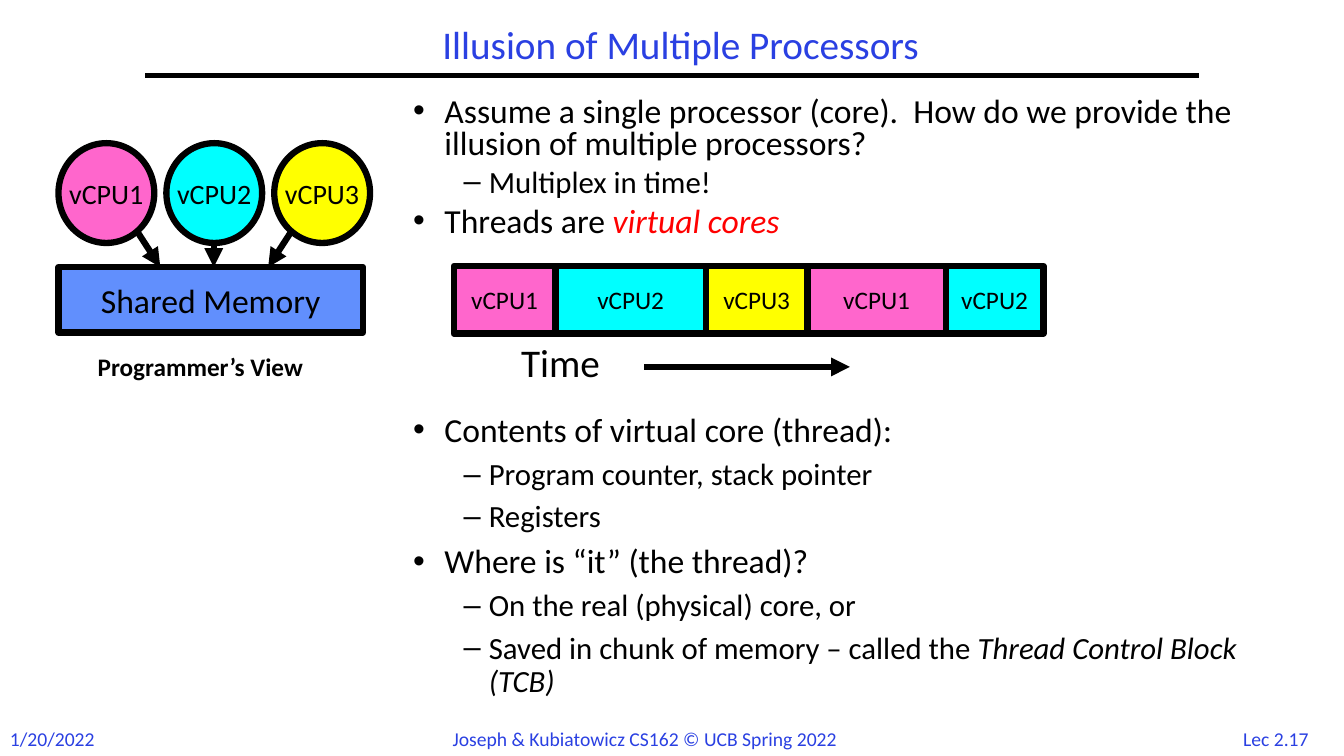
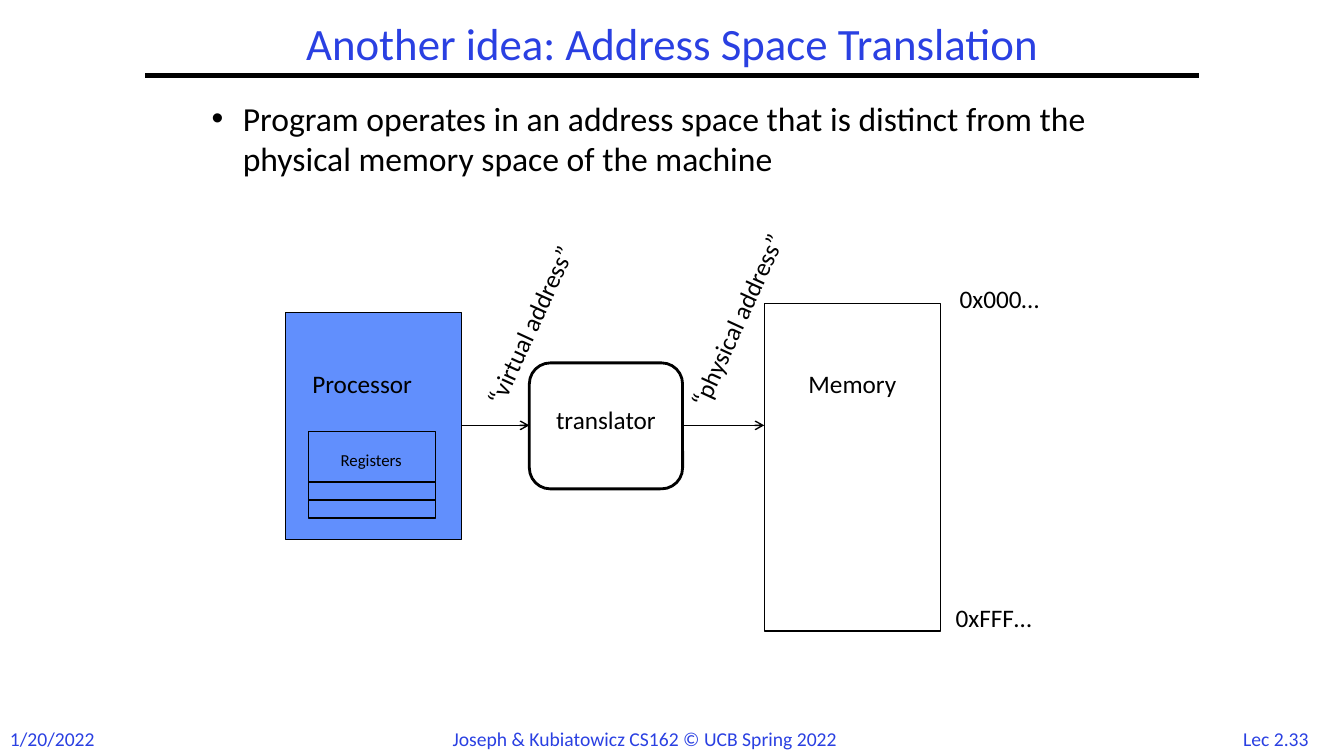
from lxml.etree import SubElement
from pptx import Presentation
from pptx.dml.color import RGBColor
from pptx.enum.shapes import MSO_CONNECTOR, MSO_SHAPE
from pptx.enum.text import MSO_ANCHOR, PP_ALIGN
from pptx.oxml.ns import qn
from pptx.util import Inches, Pt

FONT = "Calibri"
BLACK, WHITE, RED = "000000", "FFFFFF", "FF0000"
TITLE_BLUE, BOX_BLUE = "2A40E2", "618FFD"
VCPU_COLORS = {"vCPU1": "FF66CC", "vCPU2": "00FFFF", "vCPU3": "FFFF00"}
HEAVY, THIN = 4.5, 1
LEFT, CENTER = PP_ALIGN.LEFT, PP_ALIGN.CENTER
LEVELS = [("•", 0.31, 0.31, 24), ("–", 0.75, 0.25, 22)]


def color(value):
    return RGBColor.from_string(value)


def add_run(p, text, size, fill=BLACK, bold=False, italic=False):
    r = p.add_run()
    r.text = text
    font = r.font
    font.name, font.size, font.bold, font.italic = FONT, Pt(size), bold, italic
    font.color.rgb = color(fill)


def add_textbox(s, x, y, w, h):
    sp = s.shapes.add_textbox(Inches(x), Inches(y), Inches(w), Inches(h))
    sp.text_frame.word_wrap = True
    return sp


def add_label(s, x, y, w, h, text, size=18, fill=BLACK, align=LEFT, bold=False):
    sp = add_textbox(s, x, y, w, h)
    p = sp.text_frame.paragraphs[0]
    p.alignment = align
    add_run(p, text, size, fill, bold)
    return sp


def add_box(s, kind, x, y, w, h, fill=None, width=THIN, text=None, size=18):
    sp = s.shapes.add_shape(kind, Inches(x), Inches(y), Inches(w), Inches(h))
    sp.shadow.inherit = False
    if fill:
        sp.fill.solid()
        sp.fill.fore_color.rgb = color(fill)
    else:
        sp.fill.background()
    sp.line.color.rgb = color(BLACK)
    sp.line.width = Pt(width)
    if text:
        tf = sp.text_frame
        tf.word_wrap = False
        tf.vertical_anchor = MSO_ANCHOR.MIDDLE
        tf.margin_left = tf.margin_right = tf.margin_top = tf.margin_bottom = 0
        p = tf.paragraphs[0]
        p.alignment = CENTER
        add_run(p, text, size)
    return sp


def add_line(s, x1, y1, x2, y2, width, head=None):
    c = s.shapes.add_connector(MSO_CONNECTOR.STRAIGHT, Inches(x1), Inches(y1),
                               Inches(x2), Inches(y2))
    c.line.color.rgb = color(BLACK)
    c.line.width = Pt(width)
    sp_pr = c._element.spPr
    if head:
        SubElement(sp_pr.find(qn("a:ln")), qn("a:tailEnd"), type=head)
    SubElement(sp_pr, qn("a:effectLst"))


def add_bullets(s, x, y, w, h, items, line_spacing, gap):
    tf = add_textbox(s, x, y, w, h).text_frame
    for i, (level, runs) in enumerate(items):
        mark, margin, hanging, size = LEVELS[level]
        p = tf.add_paragraph() if i else tf.paragraphs[0]
        p.level = level
        p.line_spacing = line_spacing
        p.space_before = Pt(round(gap * size, 1))
        p_pr = p._p.get_or_add_pPr()
        p_pr.set("marL", str(Inches(margin)))
        p_pr.set("indent", str(-Inches(hanging)))
        SubElement(p_pr, qn("a:buFont"), typeface="Arial")
        SubElement(p_pr, qn("a:buChar"), char=mark)
        for text, style in runs:
            add_run(p, text, size, **style)


def add_frame(prs, title, title_size, title_center, number):
    s = prs.slides.add_slide(prs.slide_layouts[6])
    add_line(s, 1.44, 0.75, 11.89, 0.75, 3)
    w = 9.67
    sp = add_label(s, title_center - w / 2, 0.17, w, 0.58, title, title_size, TITLE_BLUE, CENTER)
    sp.text_frame.vertical_anchor = MSO_ANCHOR.MIDDLE
    sp.text_frame.paragraphs[0].line_spacing = 0.9
    for x, width, text, align in [
        (0, 1.2, "1/20/2022", LEFT),
        (4.39, 4.55, "Joseph & Kubiatowicz CS162 © UCB Spring 2022", LEFT),
        (12.17, 0.97, number, CENTER),
    ]:
        add_label(s, x, 7.16, width, 0.34, text, 14, TITLE_BLUE, align)
    return s


def add_programmers_view(s, x, y):
    diameter, height, pitch, memory_y = 0.95, 0.99, 1.07, 1.23
    for i, (name, fill) in enumerate(VCPU_COLORS.items()):
        add_box(s, MSO_SHAPE.OVAL, x + i * pitch, y, diameter, height, fill, HEAVY, name, 20)
    add_box(s, MSO_SHAPE.RECTANGLE, x, y + memory_y, 3.02, 0.65, BOX_BLUE, HEAVY,
            "Shared Memory", 24)
    for x1, y1, x2 in [(0.77, 0.86, 1.01), (1.54, height, 1.54), (2.32, 0.86, 2.08)]:
        add_line(s, x + x1, y + y1, x + x2, y + memory_y, HEAVY, "triangle")
    add_label(s, x + 0.29, y + 2.02, 2.55, 0.4, "Programmer’s View", bold=True)


def add_timeline(s, x, y):
    left, height = x, 0.67
    for name, w in [("vCPU1", 1.01), ("vCPU2", 1.49), ("vCPU3", 1.01),
                    ("vCPU1", 1.37), ("vCPU2", 0.97)]:
        add_box(s, MSO_SHAPE.RECTANGLE, left, y, w, height, VCPU_COLORS[name], HEAVY, name)
        left += w
    add_label(s, x + 0.57, y + height, 1.33, 0.57, "Time", 28)
    add_line(s, x + 1.89, y + 1, x + 3.93, y + 1, HEAVY, "triangle")


def add_processor(s, x, y):
    add_box(s, MSO_SHAPE.RECTANGLE, x, y, 1.75, 2.25, BOX_BLUE)
    add_label(s, x + 0.17, y + 0.5, 1.34, 0.4, "Processor")
    add_box(s, MSO_SHAPE.RECTANGLE, x + 0.23, y + 1.18, 1.26, 0.86)
    add_box(s, MSO_SHAPE.RECTANGLE, x + 0.23, y + 1.68, 1.26, 0.18)
    add_label(s, x + 0.45, y + 1.31, 0.91, 0.3, "Registers", 12)


def add_memory(s, x, y):
    add_box(s, MSO_SHAPE.RECTANGLE, x, y, 1.75, 3.25)
    add_label(s, x + 0.34, y + 0.59, 1.11, 0.4, "Memory")
    add_label(s, x + 1.84, y - 0.25, 1.14, 0.4, "0x000…")
    add_label(s, x + 1.8, y + 2.92, 1.18, 0.4, "0xFFF…")


def add_translation(s, x, y):
    add_memory(s, x + 4.75, y)
    add_processor(s, x, y + 0.09)
    sp = add_box(s, MSO_SHAPE.FLOWCHART_ALTERNATE_PROCESS, x + 2.42, y + 0.59, 1.52, 1.25,
                 WHITE, 2, "translator")
    sp.text_frame.margin_bottom = Inches(0.12)
    for x1, x2 in [(1.75, 2.42), (3.94, 4.75)]:
        add_line(s, x + x1, y + 1.21, x + x2, y + 1.21, THIN, "arrow")
    for dx, dy, w, text in [(1.44, -0.03, 2.01, "“virtual address”"),
                            (3.39, -0.12, 2.25, "“physical address”")]:
        add_label(s, x + dx, y + dy, w, 0.4, text).rotation = 294.7


def build_illusion(prs):
    s = add_frame(prs, "Illusion of Multiple Processors", 28, 6.75, "Lec 2.17")
    add_bullets(s, 4, 0.92, 8.92, 1.6, [
        (0, [("Assume a single processor (core).  How do we provide the "
              "illusion of multiple processors?", {})]),
        (1, [("Multiplex in time!", {})]),
        (0, [("Threads are ", {}), ("virtual cores", {"fill": RED, "italic": True})]),
    ], 0.8, 0.25)
    add_bullets(s, 4, 4.05, 8.92, 3, [
        (0, [("Contents of virtual core (thread):", {})]),
        (1, [("Program counter, stack pointer", {})]),
        (1, [("Registers", {})]),
        (0, [("Where is “it” (the thread)?", {})]),
        (1, [("On the real (physical) core, or", {})]),
        (1, [("Saved in chunk of memory – called the ", {}),
             ("Thread Control Block (TCB)", {"italic": True})]),
    ], 0.9, 0.3)
    add_timeline(s, 4.5, 2.64)
    add_programmers_view(s, 0.58, 1.42)


def build_address_translation(prs):
    s = add_frame(prs, "Another idea: Address Space Translation", 32, 6.67, "Lec 2.33")
    add_bullets(s, 2, 0.92, 9.42, 1.5, [
        (0, [("Program operates in an address space that is distinct from the "
              "physical memory space of the machine", {})]),
    ], 1.0, 0.3)
    add_translation(s, 2.83, 3.01)


def main():
    prs = Presentation()
    prs.slide_width, prs.slide_height = Inches(13.33), Inches(7.5)
    build_illusion(prs)
    build_address_translation(prs)
    prs.save("out.pptx")


if __name__ == "__main__":
    main()
